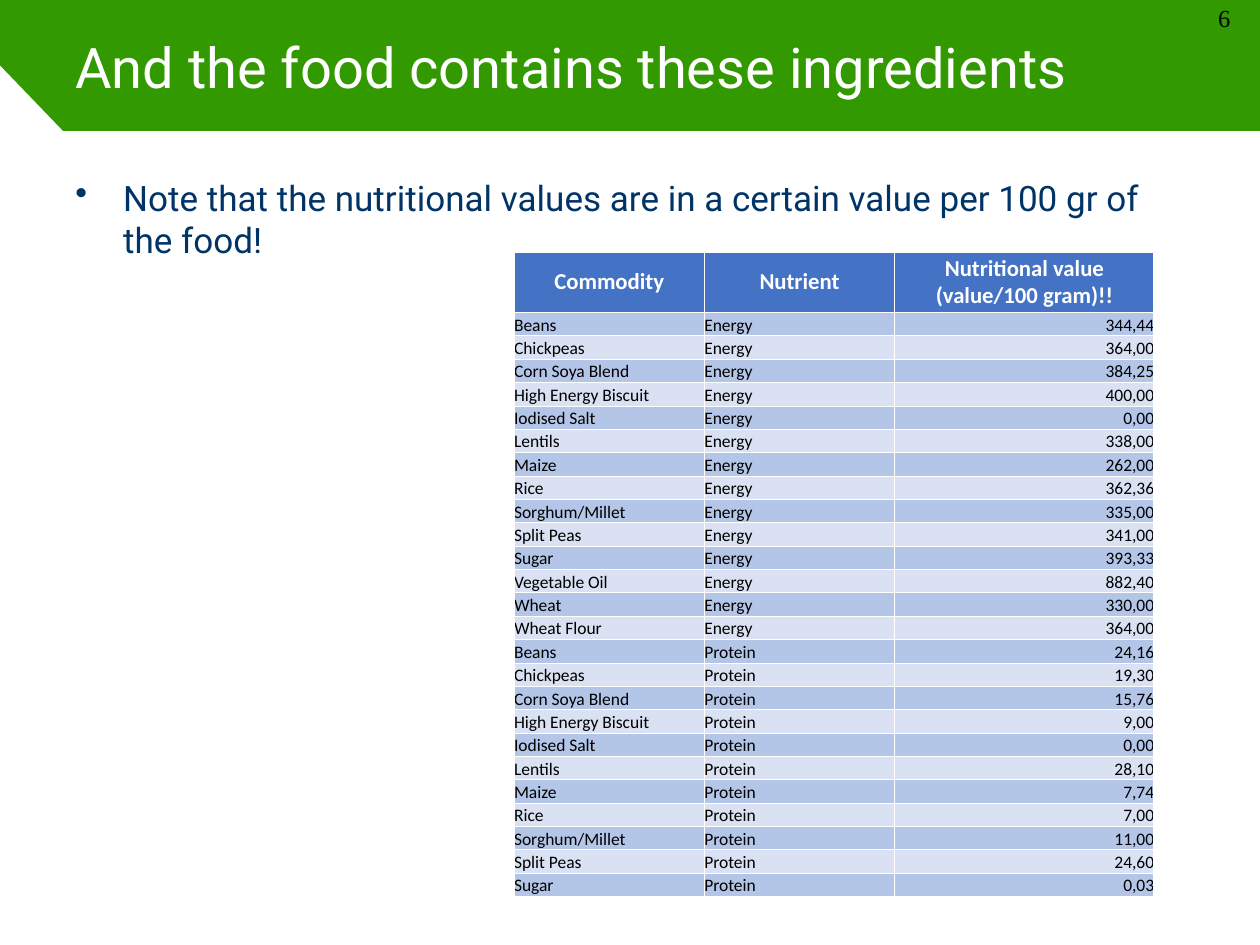
from lxml import etree
from pptx import Presentation
from pptx.dml.color import RGBColor
from pptx.enum.text import MSO_ANCHOR, PP_ALIGN
from pptx.oxml.ns import qn
from pptx.util import Inches, Pt

LEFT, MID, RIGHT = PP_ALIGN.LEFT, PP_ALIGN.CENTER, PP_ALIGN.RIGHT
TOP, CENTRE, LOW = MSO_ANCHOR.TOP, MSO_ANCHOR.MIDDLE, MSO_ANCHOR.BOTTOM
WHITE, GREEN, NAVY, BLACK = "FFFFFF", "339900", "003366", "000000"
HEAD, BANDS = "4472C4", ("B4C6E7", "D9E1F2")


def rgb(code):
    return RGBColor.from_string(code)


def write(par, text, color, **form):
    run = par.add_run()
    run.text = text
    run.font.color.rgb = rgb(color)
    for key, value in form.items():
        setattr(run.font, key, value)


# Slide with a green ground
prs = Presentation()
prs.slide_width, prs.slide_height = Inches(10), Inches(7.5)
wide, high = prs.slide_width, prs.slide_height
edge = wide // 20
band = Inches(1.04)
slide = prs.slides.add_slide(prs.slide_layouts[6])
ground = slide.background.fill
ground.solid()
ground.fore_color.rgb = rgb(GREEN)

# White page with a cut corner, below the green band
pen = slide.shapes.build_freeform(edge, band)
pen.add_line_segments([(0, band // 2), (0, high), (wide, high), (wide, band)])
page = pen.convert_to_shape()
page.shadow.inherit = False
page.fill.solid()
page.fill.fore_color.rgb = rgb(WHITE)
page.line.fill.background()

# Page number, title and note
texts = [
    ("6", (0.957, 0, 0.043, 0.041), False, TOP, BLACK,
     dict(name="Times New Roman", size=Pt(14))),
    ("And the food contains these ingredients", (0.05, 0, 0.9, 0.139), True,
     CENTRE, WHITE, dict(name="Roboto", size=Pt(32))),
    ("Note that the nutritional values are in a certain value per 100 gr of "
     "the food!", (0.05, 0.18, 0.9, 0.21), True, TOP, NAVY,
     dict(name="Roboto", size=Pt(20))),
]
for text, (x, y, w, h), wrap, anchor, color, form in texts:
    box = slide.shapes.add_textbox(
        int(x * wide), int(y * high), int(w * wide), int(h * high))
    frame = box.text_frame
    frame.word_wrap = wrap
    frame.vertical_anchor = anchor
    par = frame.paragraphs[0]
    if not wrap:
        par.line_spacing = 0.9
    write(par, text, color, **form)

# Bullet on the note, the last box
props = par._p.get_or_add_pPr()
hang = Inches(0.38)
props.set("marL", str(hang))
props.set("indent", str(-hang))
etree.SubElement(props, qn("a:buChar"), char="•")
par.space_after = Pt(6)

# Table data
foods = ["Beans", "Chickpeas", "Corn Soya Blend", "High Energy Biscuit",
         "Iodised Salt", "Lentils", "Maize", "Rice", "Sorghum/Millet",
         "Split Peas", "Sugar", "Vegetable Oil", "Wheat", "Wheat Flour"]
values = {
    "Energy": ["344,44", "364,00", "384,25", "400,00", "0,00", "338,00",
               "262,00", "362,36", "335,00", "341,00", "393,33", "882,40",
               "330,00", "364,00"],
    "Protein": ["24,16", "19,30", "15,76", "9,00", "0,00", "28,10", "7,74",
                "7,00", "11,00", "24,60", "0,03"],
}
rows = [("Commodity", "Nutrient", "Nutritional value (value/100 gram)!!")]
for kind, amounts in values.items():
    rows += [(food, kind, amount) for food, amount in zip(foods, amounts)]

# Table grid: one tall head row, then equal rows
widths = [Inches(1.51), Inches(1.51), Inches(2.06)]
tall, full = Inches(0.48), Inches(5.12)
step = (full - tall) // (len(rows) - 1)
table = slide.shapes.add_table(
    len(rows), len(widths), Inches(4.08), Inches(2), sum(widths), full).table
for col, width in zip(table.columns, widths):
    col.width = width

# Table cells
for r, row in enumerate(rows):
    table.rows[r].height = step if r else tall
    for c, text in enumerate(row):
        cell = table.cell(r, c)
        for side in ("left", "right", "top", "bottom"):
            setattr(cell, "margin_" + side, 0)
        cell.vertical_anchor = LOW if r else CENTRE
        par = cell.text_frame.paragraphs[0]
        par.alignment = (LEFT, LEFT, RIGHT)[c] if r else MID
        write(par, text, BLACK if r else WHITE, name="Calibri",
              size=Pt(10 if r else 13), bold=not r)
        # White rules, none on the outer left, right and top
        sides = {"L": c > 0, "R": c < len(row) - 1, "T": r > 0, "B": True}
        for side, shown in sides.items():
            if shown:
                rule = etree.SubElement(
                    cell._tc.get_or_add_tcPr(), qn("a:ln" + side), w=str(Pt(0.5)))
                paint = etree.SubElement(rule, qn("a:solidFill"))
                etree.SubElement(paint, qn("a:srgbClr"), val=WHITE)
        cell.fill.solid()
        cell.fill.fore_color.rgb = rgb(BANDS[(r - 1) % 2] if r else HEAD)

prs.save("out.pptx")
